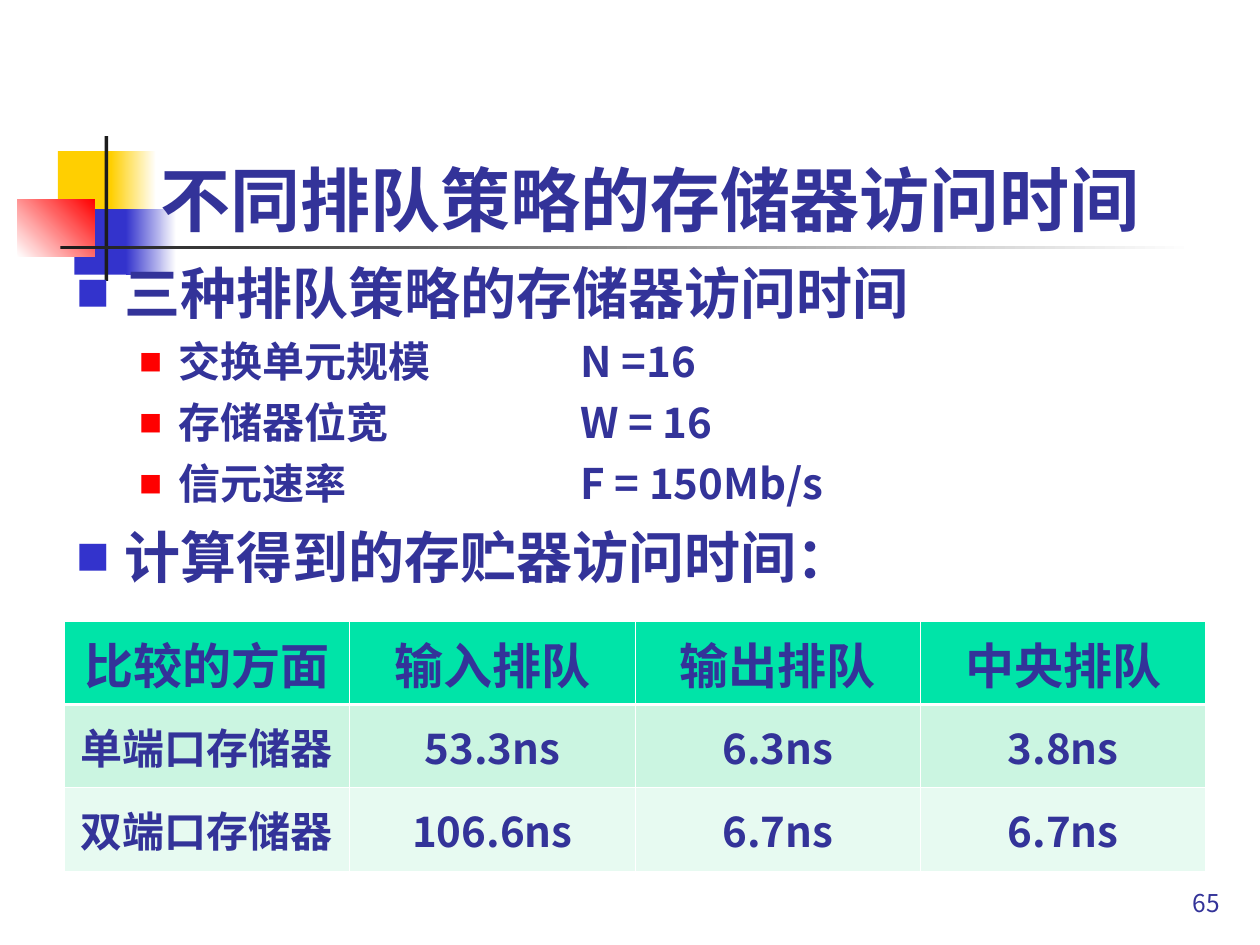
from dataclasses import dataclass

from lxml.etree import SubElement
from pptx import Presentation
from pptx.dml.color import RGBColor as RGB
from pptx.enum.shapes import MSO_SHAPE as SHAPE
from pptx.enum.text import MSO_ANCHOR as ANCHOR, MSO_AUTO_SIZE as AUTO, PP_ALIGN as ALIGN
from pptx.oxml.ns import qn
from pptx.util import Inches, Pt


@dataclass(frozen=True)
class Theme:
    font: str = "Noto Sans CJK JP"
    text: str = "333399"
    white: str = "FFFFFF"
    yellow: str = "FFCF01"
    blue: str = "3333CC"
    red: str = "FF0000"
    dark: str = "1C1C1C"
    rows: tuple = ("00E4A8", "CBF5E1", "E7FAF1")
    title_size: int = 40
    body_sizes: tuple = (32, 24)
    table_sizes: tuple = (28, 24, 24)
    number_size: int = 14
    thin: float = 0.45
    thick: float = 1.47


# Per outline level: left margin, hanging indent, space before, bullet colour, bullet size
LEVELS = (
    (0.38, 0.38, 8, Theme.blue, 60),
    (0.81, 0.31, 6, Theme.red, 55),
)

BODY = (
    (0, "三种排队策略的存储器访问时间"),
    (1, "交换单元规模\t\tN =16"),
    (1, "存储器位宽\t\tW = 16"),
    (1, "信元速率\t\tF = 150Mb/s"),
    (0, "计算得到的存贮器访问时间："),
)

ACCESS_TIMES = (
    ("比较的方面", "输入排队", "输出排队", "中央排队"),
    ("单端口存储器", "53.3ns", "6.3ns", "3.8ns"),
    ("双端口存储器", "106.6ns", "6.7ns", "6.7ns"),
)


def set_attrs(obj, values):
    for name, value in values.items():
        setattr(obj, name, value)


class SlideBuilder:
    def __init__(self, s, theme):
        self.s = s
        self.theme = theme

    def add_run(self, p, text, size, bold=True, align=ALIGN.LEFT):
        p.alignment = align
        r = p.add_run()
        r.text = text
        set_attrs(r.font, {"name": self.theme.font, "size": Pt(size), "bold": bold})
        r.font.color.rgb = RGB.from_string(self.theme.text)
        SubElement(r._r.get_or_add_rPr(), qn("a:ea"), typeface=self.theme.font)

    def frame(self, sp, anchor):
        tf = sp.text_frame
        set_attrs(tf, {
            "word_wrap": True, "auto_size": AUTO.NONE, "vertical_anchor": anchor,
            "margin_left": Inches(0.1), "margin_right": Inches(0.1),
            "margin_top": Inches(0.05), "margin_bottom": Inches(0.05),
        })
        return tf

    def block(self, box, colors, angle=0):
        """Add a borderless rectangle: one colour is solid, two make a gradient."""
        sp = self.s.shapes.add_shape(SHAPE.RECTANGLE, *map(Inches, box))
        sp.shadow.inherit = False
        sp.line.fill.background()
        if len(colors) == 1:
            sp.fill.solid()
            sp.fill.fore_color.rgb = RGB.from_string(colors[0])
            return
        sp.fill.gradient()
        sp.fill.gradient_angle = angle
        for stop, color in zip(sp.fill.gradient_stops, colors):
            stop.color.rgb = RGB.from_string(color)

    def title(self, box, text):
        sp = self.s.shapes.title
        names = ("left", "top", "width", "height")
        set_attrs(sp, dict(zip(names, map(Inches, box))))
        tf = self.frame(sp, ANCHOR.BOTTOM)
        self.add_run(tf.paragraphs[0], text, self.theme.title_size, align=ALIGN.CENTER)
        sp.element.getparent().append(sp.element)  # in front of the blocks

    def text(self, box, text, size, align):
        sp = self.s.shapes.add_textbox(*map(Inches, box))
        p = self.frame(sp, ANCHOR.BOTTOM).paragraphs[0]
        self.add_run(p, text, size, bold=False, align=align)

    def bullet(self, p, level):
        margin, hang, _, color, percent = LEVELS[level]
        pPr = p._p.get_or_add_pPr()
        pPr.set("marL", str(Inches(margin)))
        pPr.set("indent", str(-Inches(hang)))
        SubElement(SubElement(pPr, qn("a:buClr")), qn("a:srgbClr"), val=color)
        SubElement(pPr, qn("a:buSzPct"), val=str(percent * 1000))
        SubElement(pPr, qn("a:buFont"), typeface=self.theme.font)
        SubElement(pPr, qn("a:buChar"), char="■")
        tabs = SubElement(pPr, qn("a:tabLst"))
        for inch in range(1, 9):
            SubElement(tabs, qn("a:tab"), pos=str(Inches(inch)), algn="l")

    def outline(self, box, items):
        sp = self.s.shapes.add_textbox(*map(Inches, box))
        tf = self.frame(sp, ANCHOR.TOP)
        for i, (level, text) in enumerate(items):
            p = tf.add_paragraph() if i else tf.paragraphs[0]
            p.level = level
            self.bullet(p, level)
            p.space_before = Pt(LEVELS[level][2] if i else 0)
            self.add_run(p, text, self.theme.body_sizes[level])

    def borders(self, cell, widths):
        tcPr = cell._tc.get_or_add_tcPr()
        for side, width in widths.items():
            ln = SubElement(tcPr, qn(f"a:ln{side}"), w=str(Pt(width)))
            fill = SubElement(ln, qn("a:solidFill"))
            SubElement(fill, qn("a:srgbClr"), val=self.theme.white)

    def table(self, box, row_heights, data):
        t = self.theme
        shape = self.s.shapes.add_table(len(data), len(data[0]), *map(Inches, box))
        table = shape.table
        set_attrs(table, {"first_row": False, "horz_banding": False})
        for row, height in zip(table.rows, row_heights):
            row.height = Inches(height)
        for i, values in enumerate(data):
            widths = dict.fromkeys("LRTB", t.thin)
            if i < 2:  # the heavier rule runs between header and first row
                widths["B" if i == 0 else "T"] = t.thick
            for j, value in enumerate(values):
                cell = table.cell(i, j)
                self.borders(cell, widths)
                cell.fill.solid()
                cell.fill.fore_color.rgb = RGB.from_string(t.rows[i])
                cell.vertical_anchor = ANCHOR.MIDDLE
                self.add_run(cell.text_frame.paragraphs[0], value, t.table_sizes[i],
                             align=ALIGN.CENTER)


def main():
    prs = Presentation()
    set_attrs(prs, {"slide_width": Inches(10), "slide_height": Inches(7.5)})
    theme = Theme()
    b = SlideBuilder(prs.slides.add_slide(prs.slide_layouts[5]), theme)

    b.block((0.46, 1.2, 0.48, 0.52), (theme.yellow,))
    b.block((0.88, 1.2, 0.36, 0.52), (theme.yellow, theme.white))
    b.block((0.59, 1.66, 0.46, 0.52), (theme.blue,))
    b.block((1, 1.66, 0.4, 0.52), (theme.blue, theme.white))
    b.block((0.14, 1.58, 0.61, 0.46), (theme.white, theme.red), angle=45)
    b.block((0.83, 1.08, 0.03, 1.15), (theme.dark,))
    b.block((0.48, 1.95, 9, 0.03), (theme.dark, theme.white))

    b.text((7.7, 6.83, 2.08, 0.5), "65", theme.number_size, ALIGN.RIGHT)
    b.title((0.9, 0.36, 8.52, 1.6), "不同排队策略的存储器访问时间")
    b.outline((0.51, 2, 9.29, 5.06), BODY)
    b.table((0.51, 4.93, 9.06, 1.97), (0.65, 0.66, 0.66), ACCESS_TIMES)
    prs.save("out.pptx")


if __name__ == "__main__":
    main()
